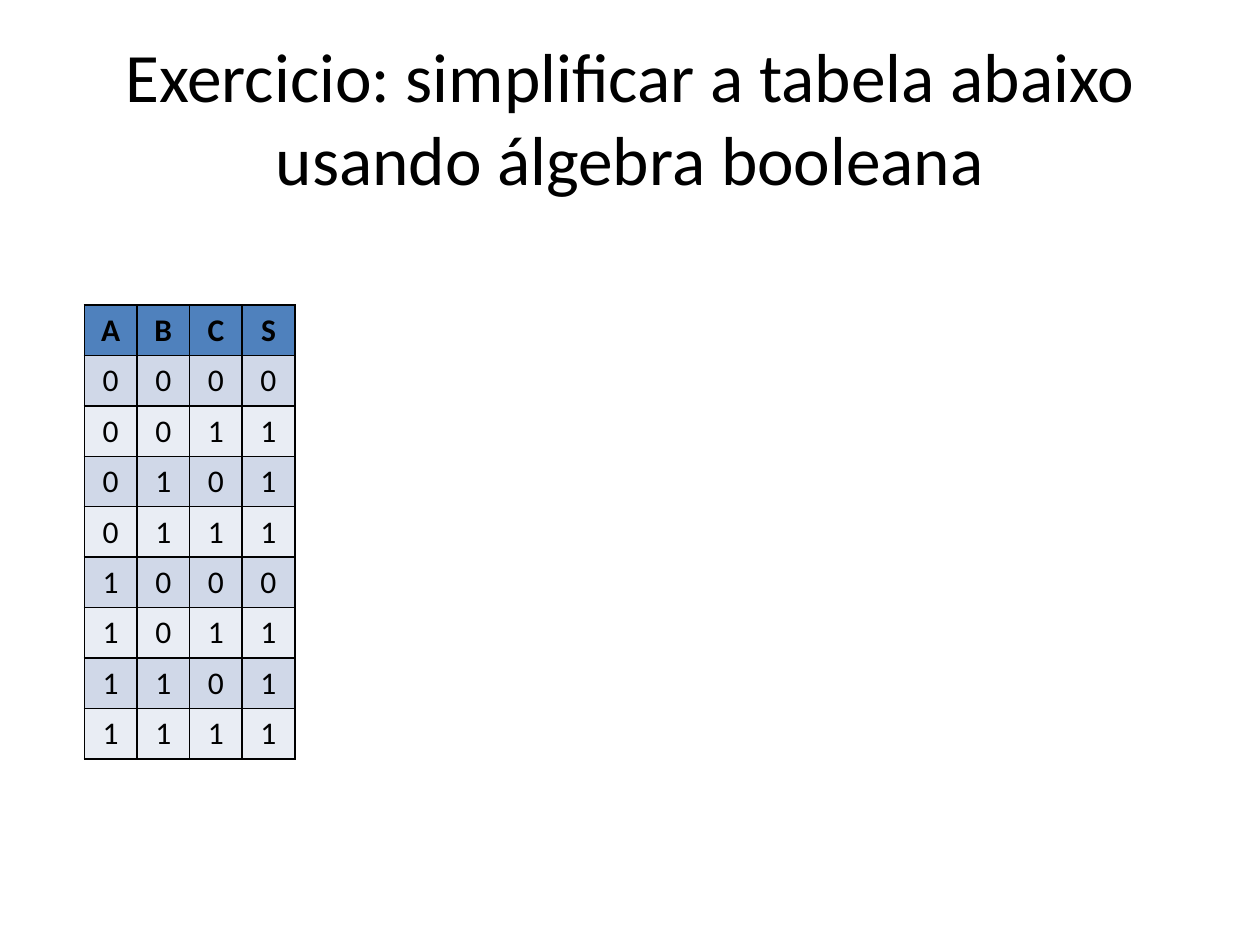
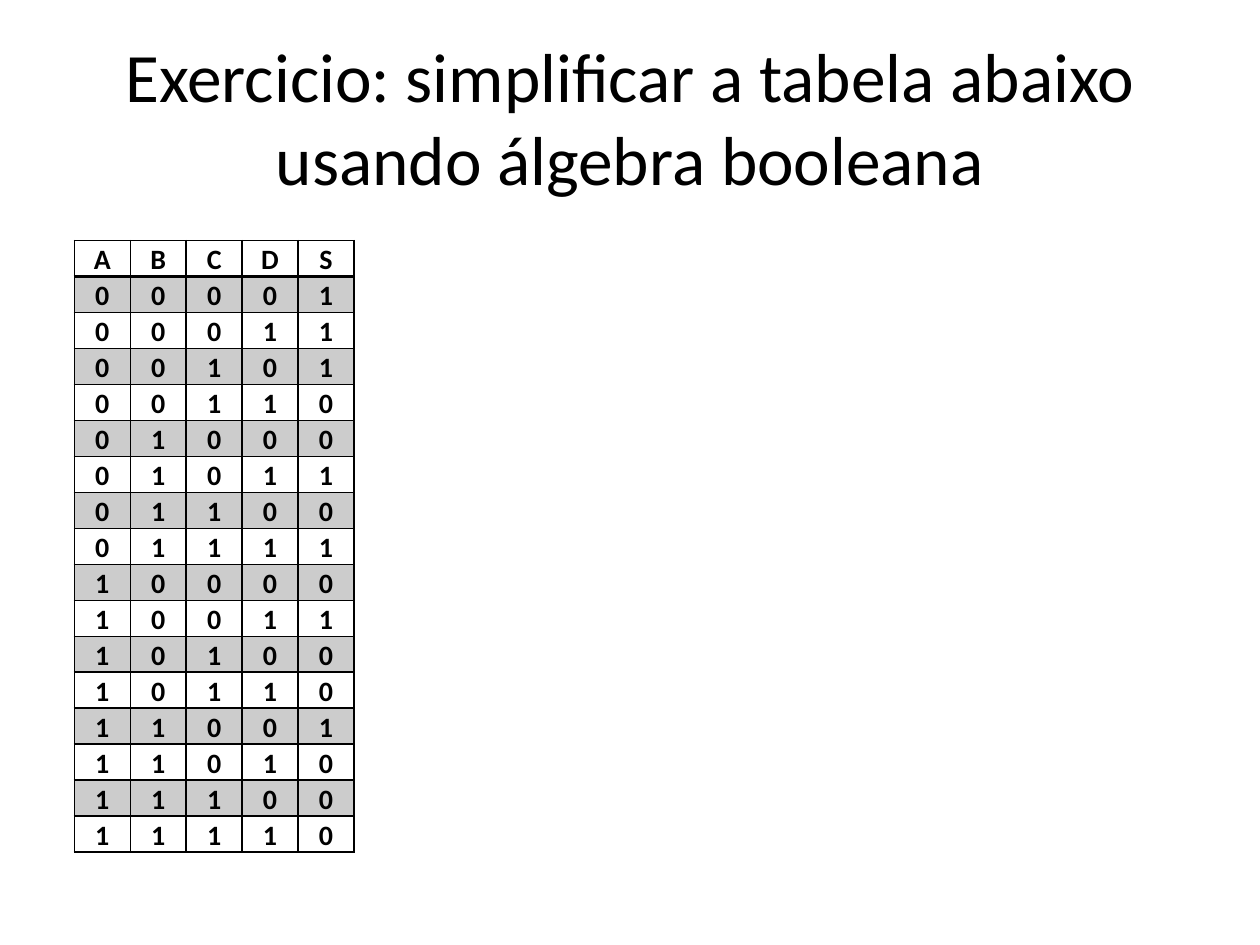
import itertools

import pptx
import pptx.dml.color
import pptx.enum.text
import pptx.oxml
import pptx.oxml.ns
import pptx.util

COLORS = {"ink": "000000", "header": "4F81BD", "band": "D0D8E8", "light": "E9EDF4"}
FONT = "Calibri"
ANCHOR = pptx.enum.text.MSO_ANCHOR
TITLE = "Exercicio: simplificar a tabela abaixo usando álgebra booleana"
TITLE_BOX = (0.5, 0.3, 9, 1.25)

TRUTH_TABLES = [
    dict(inputs="ABC", output="S", results="01110111",
         box=(0.67, 2.42, 1.67, 3.6), size=18, body_bold=False, spacing=1,
         anchor=ANCHOR.MIDDLE, margins=(0.1, 0.05), rule=1,
         header=("header", 100), bands=[("band", 100), ("light", 100)]),
    dict(inputs="ABCD", output="S", results="1110010101001000",
         box=(0.59, 1.91, 2.22, 4.63), size=16, body_bold=True, spacing=1.07,
         anchor=ANCHOR.BOTTOM, margins=(0.05, 0), rule=2,
         header=None, bands=[("ink", 20), None]),
]


def write(tf, text, size, bold=False, spacing=1):
    p = tf.paragraphs[0]
    p.alignment = pptx.enum.text.PP_ALIGN.CENTER
    p.line_spacing = spacing
    r = p.add_run()
    r.text = text
    r.font.name = FONT
    r.font.size = pptx.util.Pt(size)
    r.font.bold = bold
    r.font.color.rgb = pptx.dml.color.RGBColor.from_string(COLORS["ink"])


def inches(values):
    return [pptx.util.Inches(v) for v in values]


def add_title(s):
    tf = s.shapes.add_textbox(*inches(TITLE_BOX)).text_frame
    tf.word_wrap = True
    tf.vertical_anchor = ANCHOR.MIDDLE
    write(tf, TITLE, size=39.6)


def set_borders(cell, **widths):
    tc_pr = cell._tc.get_or_add_tcPr()
    for side in "LRTB":
        width = pptx.util.Pt(widths.get(side, 1))
        tc_pr.append(pptx.oxml.parse_xml(
            f'<a:ln{side} {pptx.oxml.ns.nsdecls("a")} w="{width}"><a:solidFill>'
            f'<a:srgbClr val="{COLORS["ink"]}"/></a:solidFill></a:ln{side}>'))


def set_fill(cell, paint):
    if paint is None:
        cell.fill.background()
        return
    color, opacity = paint
    cell.fill.solid()
    cell.fill.fore_color.rgb = pptx.dml.color.RGBColor.from_string(COLORS[color])
    if opacity < 100:
        clr = cell._tc.tcPr.find("a:solidFill/a:srgbClr", pptx.oxml.ns._nsmap)
        clr.append(pptx.oxml.parse_xml(
            f'<a:alpha {pptx.oxml.ns.nsdecls("a")} val="{opacity * 1000}"/>'))


def add_truth_table(s, spec):
    inputs = itertools.product("01", repeat=len(spec["inputs"]))
    rows = [spec["inputs"] + spec["output"]]
    rows += ["".join(bits) + result for bits, result in zip(inputs, spec["results"])]
    table = s.shapes.add_table(len(rows), len(rows[0]), *inches(spec["box"])).table
    table.first_row = table.horz_banding = False
    side, top = inches(spec["margins"])
    for i, row in enumerate(rows):
        paint = spec["bands"][(i - 1) % 2] if i else spec["header"]
        rules = {0: {"B": spec["rule"]}, 1: {"T": spec["rule"]}}.get(i, {})
        for j, text in enumerate(row):
            cell = table.cell(i, j)
            cell.margin_left = cell.margin_right = side
            cell.margin_top = cell.margin_bottom = top
            cell.vertical_anchor = spec["anchor"]
            set_borders(cell, **rules)
            set_fill(cell, paint)
            write(cell.text_frame, text, size=spec["size"],
                  bold=i == 0 or spec["body_bold"], spacing=spec["spacing"])


def main():
    prs = pptx.Presentation()
    prs.slide_width, prs.slide_height = inches((10, 7.5))
    for spec in TRUTH_TABLES:
        s = prs.slides.add_slide(prs.slide_layouts[6])
        add_title(s)
        add_truth_table(s, spec)
    prs.save("out.pptx")


if __name__ == "__main__":
    main()
